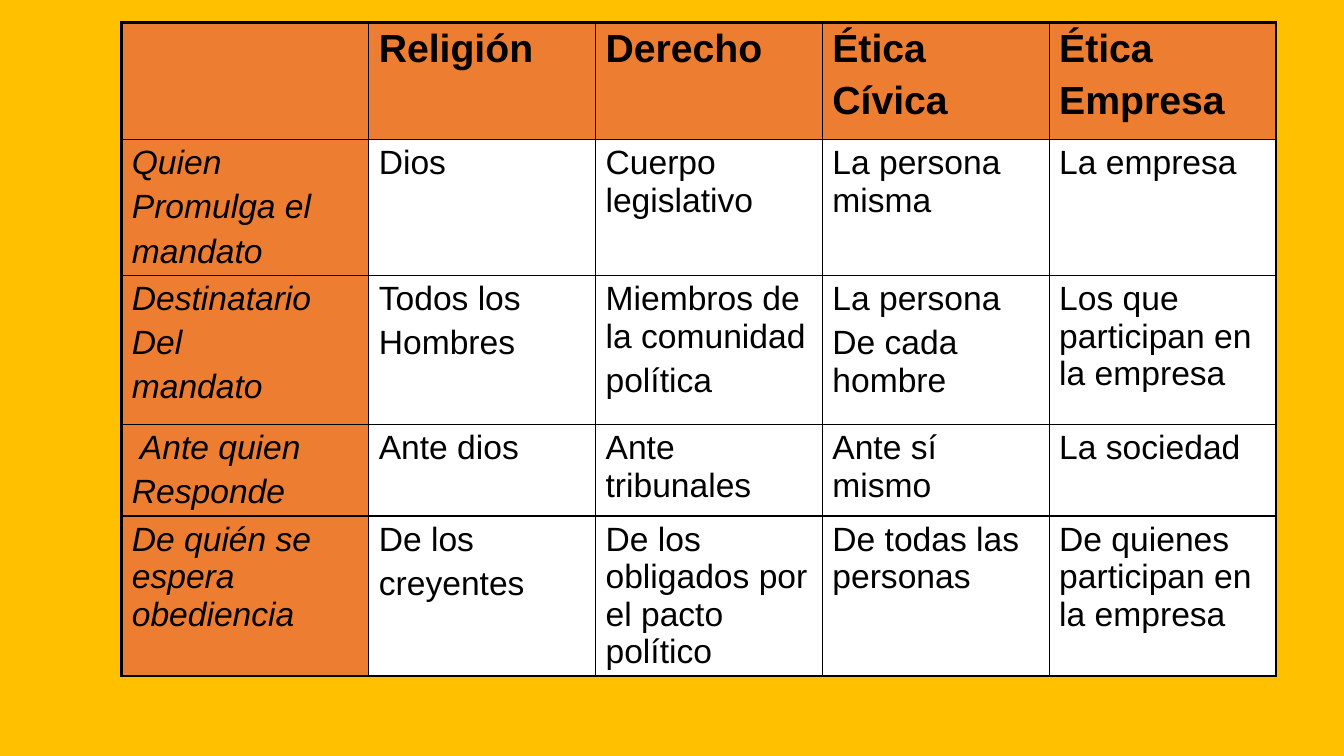
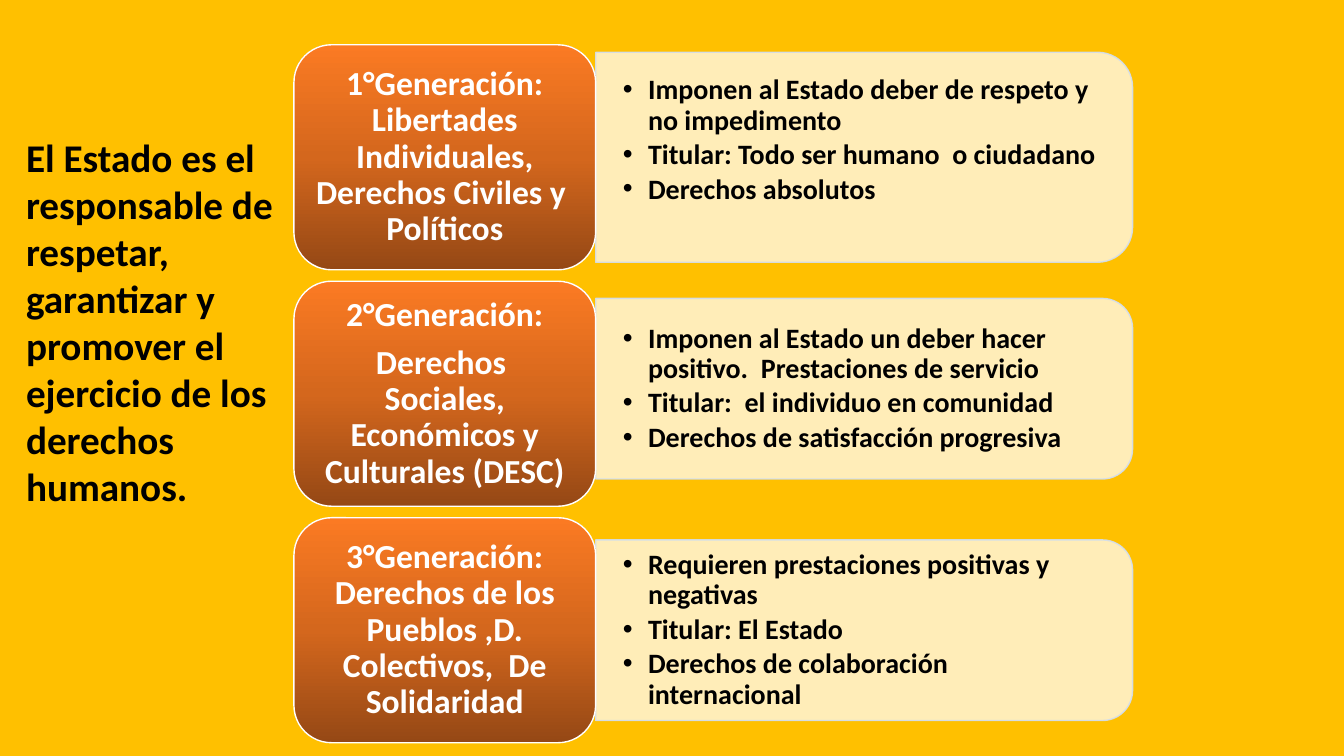
import copy

import pptx
import pptx.dml.color
import pptx.enum.dml
import pptx.enum.shapes
import pptx.enum.text
import pptx.oxml
import pptx.oxml.ns
import pptx.util

Pt = pptx.util.Pt
RGB = pptx.dml.color.RGBColor
SHAPE = pptx.enum.shapes.MSO_SHAPE
ALIGN = pptx.enum.text.PP_ALIGN
ANCHOR = pptx.enum.text.MSO_ANCHOR
qn = pptx.oxml.ns.qn

AMBER = RGB(0xFF, 0xC0, 0x00)
ORANGE = RGB(0xED, 0x7D, 0x31)
CREAM = RGB(0xFF, 0xF2, 0xCC)
PALE_BLUE = RGB(0xD2, 0xDE, 0xEF)
WHITE = RGB(0xFF, 0xFF, 0xFF)
BLACK = RGB(0x00, 0x00, 0x00)
RUST = (RGB(0x95, 0x48, 0x15), RGB(0xD4, 0x67, 0x1D), RGB(0xFB, 0x7A, 0x23))

COLUMN_WIDTHS = [176.4] + [162] * 4
ROW_HEIGHTS = [83.5, 96.5, 106.5, 65.5, 113.5]
# A line break within a cell starts a new paragraph.
MANDATES = [
    ["", "Religión", "Derecho", "Ética\nCívica", "Ética\nEmpresa"],
    ["Quien\nPromulga el\nmandato", "Dios", "Cuerpo legislativo",
     "La persona misma", "La empresa"],
    ["Destinatario\nDel\nmandato", "Todos los\nHombres",
     "Miembros de la comunidad\npolítica", "La persona\nDe cada hombre",
     "Los que participan en la empresa"],
    [" Ante quien\nResponde", "Ante dios", "Ante tribunales", "Ante sí mismo",
     "La sociedad"],
    ["De quién se espera obediencia", "De los\ncreyentes",
     "De los obligados por el pacto político", "De todas las personas",
     "De quienes participan en la empresa"],
]

# Label, duties, card height, card offset, text offset
GENERATIONS = [
    ("1°Generación: Libertades Individuales, Derechos Civiles y  Políticos",
     "Imponen al Estado deber de respeto y no impedimento\n"
     "Titular: Todo ser humano  o ciudadano\n"
     "Derechos absolutos", 150, 0, -12),
    ("2°Generación:\nDerechos  Sociales, Económicos y Culturales (DESC)",
     "Imponen al Estado un deber hacer positivo.  Prestaciones de servicio\n"
     "Titular:  el individuo en comunidad\n"
     "Derechos de satisfacción progresiva", 129, -3.6, 0),
    ("3°Generación: Derechos de los Pueblos ,D. Colectivos,  De Solidaridad",
     "Requieren prestaciones positivas y negativas\n"
     "Titular: El Estado\n"
     "Derechos de colaboración internacional", 129, 0, 0),
]
STATE_DUTY = ("El Estado es el responsable de respetar, garantizar y promover "
              "el ejercicio de los derechos humanos.")


def add_slide(prs):
    s = prs.slides.add_slide(prs.slide_layouts[6])
    s.background.fill.solid()
    s.background.fill.fore_color.rgb = AMBER
    return s


def write(tf, text, size, font, color=BLACK, bold=False, italic=False,
          gap=0, spacing=None, align=ALIGN.LEFT):
    """Write one paragraph per line; gap is a share of the text size."""
    tf.word_wrap = True
    for i, line in enumerate(text.split("\n")):
        p = tf.paragraphs[0] if i == 0 else tf.add_paragraph()
        p.alignment = align
        p.space_before = Pt(gap * size if i else 0)
        if spacing:
            p.line_spacing = spacing
        r = p.add_run()
        r.text = line
        r.font.size, r.font.name = Pt(size), font
        r.font.bold, r.font.italic = bold, italic
        r.font.color.rgb = color


def add_bullets(tf, indent):
    for p in tf.paragraphs:
        pPr = p._p.get_or_add_pPr()
        pPr.set("marL", str(Pt(indent)))
        pPr.set("indent", str(-Pt(indent)))
        for tag, key, value in (("a:buFont", "typeface", "Arial"),
                                ("a:buChar", "char", "•")):
            bullet = pptx.oxml.parse_xml(
                f'<{tag} {pptx.oxml.ns.nsdecls("a")} {key}="{value}"/>')
            pPr.append(bullet)


def set_borders(cell, widths):
    """Draw black borders; widths are left, right, top, bottom."""
    tcPr = cell._tc.get_or_add_tcPr()
    for i, (side, width) in enumerate(zip("LRTB", widths)):
        tcPr.insert(i, pptx.oxml.parse_xml(
            f'<a:ln{side} {pptx.oxml.ns.nsdecls("a")} w="{Pt(width)}">'
            f'<a:solidFill><a:srgbClr val="{BLACK}"/></a:solidFill>'
            f'</a:ln{side}>'))


def set_alpha(fill, percent):
    color = fill._xPr.find(".//" + qn("a:srgbClr"))
    color.append(pptx.oxml.parse_xml(
        f'<a:alpha {pptx.oxml.ns.nsdecls("a")} val="{percent * 1000}"/>'))


def fill_rust(fill):
    """Fill with three stops, dark at the bottom."""
    fill.gradient()
    fill.gradient_angle = 90
    stop_list = fill._xPr.find(".//" + qn("a:gsLst"))
    stop_list.append(copy.deepcopy(stop_list[-1]))
    for i, (stop, color) in enumerate(zip(fill.gradient_stops, RUST)):
        stop.position = i / 2
        stop.color.rgb = color


def add_box(s, kind, x, y, w, h, line_color):
    sp = s.shapes.add_shape(kind, Pt(x), Pt(y), Pt(w), Pt(h))
    sp.shadow.inherit = False
    sp.line.color.rgb = line_color
    sp.line.width = Pt(1)
    return sp


def mandate_table(s, x, y):
    rows, cols = len(ROW_HEIGHTS), len(COLUMN_WIDTHS)
    table = s.shapes.add_table(rows, cols, Pt(x), Pt(y), Pt(sum(COLUMN_WIDTHS)),
                               Pt(sum(ROW_HEIGHTS))).table
    table.first_row = table.horz_banding = False
    for column, width in zip(table.columns, COLUMN_WIDTHS):
        column.width = Pt(width)
    for row, height in zip(table.rows, ROW_HEIGHTS):
        row.height = Pt(height)
    for i, texts in enumerate(MANDATES):
        for j, text in enumerate(texts):
            cell = table.cell(i, j)
            cell.fill.solid()
            cell.fill.fore_color.rgb = ORANGE if i == 0 or j == 0 else WHITE
            outer = (j == 0, j == cols - 1, i == 0, i == rows - 1)
            set_borders(cell, [2.25 if edge else 1 for edge in outer])
            if text:
                write(cell.text_frame, text, 24 if i else 28, "Arial",
                      bold=i == 0, italic=i > 0 and j == 0, gap=0.2)


def generation_row(s, x, y, w, h, generation):
    label, duties, card_h, card_shift, text_shift = generation
    label_w = 215.5
    card_x, card_w = x + label_w, w - label_w
    middle = y + h / 2 + card_shift

    # The card is a tall shape turned a quarter about its centre.
    card = add_box(s, SHAPE.ROUND_2_SAME_RECTANGLE,
                   card_x + (card_w - card_h) / 2, middle - card_w / 2,
                   card_h, card_w, PALE_BLUE)
    card.rotation = 90
    card.fill.solid()
    card.fill.fore_color.rgb = CREAM
    set_alpha(card.fill, 90)
    set_alpha(card.line.fill, 90)

    tb = s.shapes.add_textbox(Pt(card_x), Pt(middle - card_h / 2 + text_shift),
                              Pt(card_w - 6), Pt(card_h))
    tf = tb.text_frame
    tf.margin_left = tf.margin_right = Pt(19.4)
    tf.margin_top = tf.margin_bottom = 0
    tf.vertical_anchor = ANCHOR.MIDDLE
    write(tf, duties, 20, "Calibri", bold=True, gap=0.15, spacing=0.9)
    add_bullets(tf, 18)

    sp = add_box(s, SHAPE.ROUNDED_RECTANGLE, x, y, label_w, h, WHITE)
    fill_rust(sp.fill)
    sp.text_frame.vertical_anchor = ANCHOR.MIDDLE
    write(sp.text_frame, label, 24, "Calibri", WHITE, bold=True, gap=0.35,
          spacing=0.9, align=ALIGN.CENTER)


def generation_list(s, x, y, w, h, gap):
    row_h = (h - gap * (len(GENERATIONS) - 1)) / len(GENERATIONS)
    for i, generation in enumerate(GENERATIONS):
        generation_row(s, x, y + i * (row_h + gap), w, row_h, generation)


def state_duty(s, x, y, w, h):
    tb = s.shapes.add_textbox(Pt(x), Pt(y), Pt(w), Pt(h))
    write(tb.text_frame, STATE_DUTY, 28, "Calibri", bold=True)


def main():
    prs = pptx.Presentation()
    prs.slide_width, prs.slide_height = Pt(960), Pt(540)
    mandate_table(add_slide(prs), 87, 16)
    s = add_slide(prs)
    generation_list(s, 210, 32, 599, 498.5, 8.2)
    state_duty(s, 11.5, 91.5, 198.5, 278.5)
    prs.save("out.pptx")


if __name__ == "__main__":
    main()
